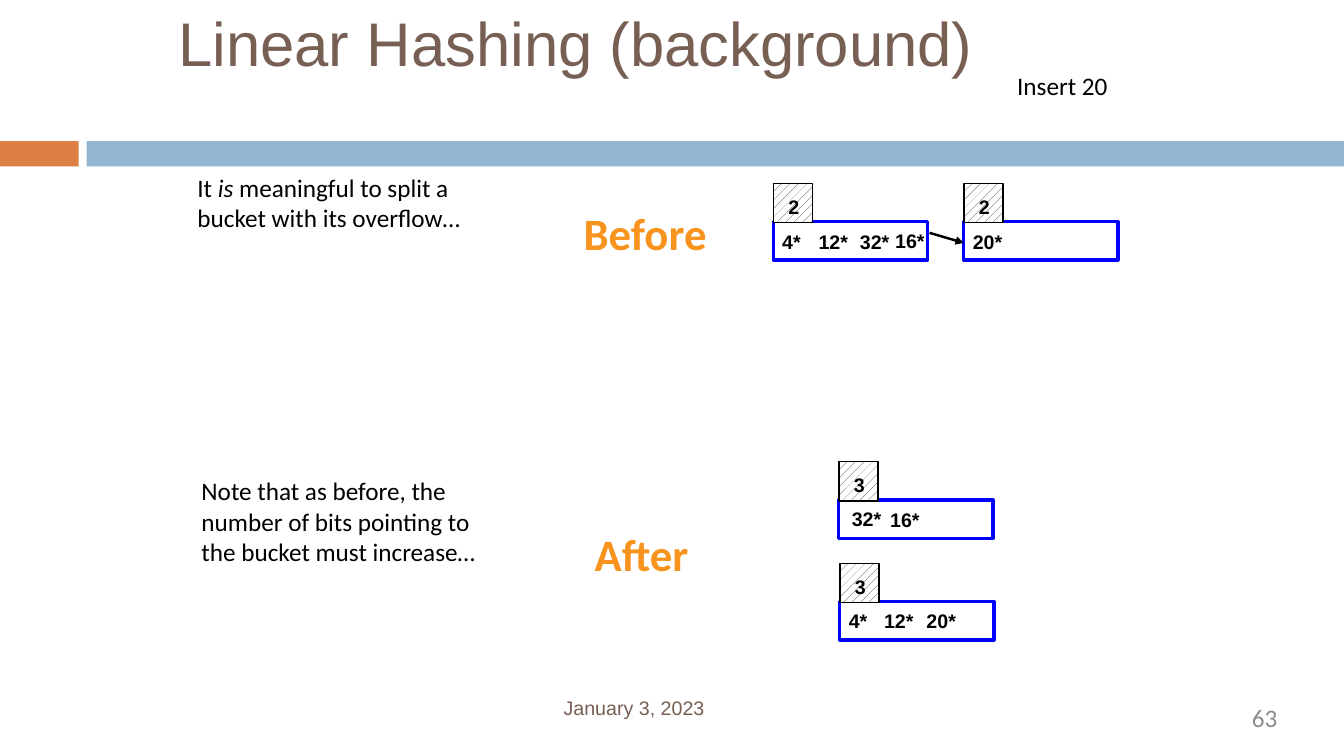
from dataclasses import dataclass

from lxml import etree
from pptx import Presentation
from pptx.dml.color import RGBColor
from pptx.enum.dml import MSO_PATTERN
from pptx.enum.shapes import MSO_CONNECTOR, MSO_SHAPE
from pptx.enum.text import MSO_AUTO_SIZE, PP_ALIGN
from pptx.oxml.ns import qn
from pptx.util import Inches, Pt

RECTANGLE = MSO_SHAPE.RECTANGLE
STRAIGHT = MSO_CONNECTOR.STRAIGHT
DOTTED = MSO_PATTERN.PERCENT_20
FIT_TEXT = MSO_AUTO_SIZE.SHAPE_TO_FIT_TEXT
LEFT, RIGHT = PP_ALIGN.LEFT, PP_ALIGN.RIGHT


@dataclass(frozen=True)
class Theme:
    heading: str = "775F54"
    accent: str = "DD8046"
    band: str = "93B6D2"
    stage: str = "F8931D"
    bucket: str = "0000FF"
    hatch: str = "39302A"
    paper: str = "FFFFFF"
    ink: str = "000000"
    muted: str = "8C8C8C"
    display_font: str = "Arial"
    body_font: str = "Calibri"
    title_size: int = 44
    stage_size: int = 32
    body_size: int = 18
    small_size: int = 14


THEME = Theme()
PAGE_W, PAGE_H = 13.33, 7.5
BUCKET_W, BUCKET_H, DEPTH_SIDE = 1.53, 0.38, 0.39


def rgb(value):
    return RGBColor.from_string(value)


def add_text(shapes, box, runs, size, color=THEME.ink, font=THEME.body_font,
             bold=False, wrap=True, align=LEFT, inset=True, spacing=None):
    """Add one paragraph; runs holds (text, italic) pairs or is a plain string."""
    s = shapes.add_textbox(*map(Inches, box))
    tf = s.text_frame
    tf.word_wrap = wrap
    tf.auto_size = FIT_TEXT
    if not inset:
        tf.margin_left = tf.margin_right = tf.margin_top = tf.margin_bottom = 0
    p = tf.paragraphs[0]
    p.alignment = align
    if spacing:
        p.line_spacing = Pt(spacing)
    p.font.size, p.font.bold, p.font.name = Pt(size), bold, font
    p.font.color.rgb = rgb(color)
    for text, italic in [(runs, False)] if isinstance(runs, str) else runs:
        r = p.add_run()
        r.text = text
        if italic:
            r.font.italic = True


def add_box(shapes, box, fill=None, line=None, width=1, hatched=False):
    s = shapes.add_shape(RECTANGLE, *map(Inches, box))
    s.shadow.inherit = False
    if hatched:
        s.fill.patterned()
        s.fill.pattern = DOTTED
        s.fill.fore_color.rgb = rgb(THEME.hatch)
        s.fill.back_color.rgb = rgb(THEME.paper)
    elif fill:
        s.fill.solid()
        s.fill.fore_color.rgb = rgb(fill)
    else:
        s.fill.background()
    if line:
        s.line.color.rgb = rgb(line)
        s.line.width = Pt(width)
    else:
        s.line.fill.background()


def add_label(shapes, x, y, text):
    width = 0.21 + 0.1 * len(text) - (0.02 if "*" in text else 0)
    add_text(shapes, (x, y, width, 0.33), text, THEME.small_size,
             font=THEME.display_font, bold=True, wrap=False)


def add_bucket(shapes, x, y, depth, entries):
    """Draw a bucket with its local depth; entries are (text, dx, dy)."""
    add_box(shapes, (x, y, BUCKET_W, BUCKET_H), line=THEME.bucket, width=2.25)
    add_box(shapes, (x, y - 0.38, DEPTH_SIDE, DEPTH_SIDE), line=THEME.ink, hatched=True)
    add_label(shapes, x + 0.05, y - 0.32, depth)
    for text, dx, dy in entries:
        add_label(shapes, x + dx, y + dy, text)


def add_arrow(shapes, start, end):
    s = shapes.add_connector(STRAIGHT, *map(Inches, start + end))
    s.line.color.rgb = rgb(THEME.ink)
    s.line.width = Pt(1.75)
    etree.SubElement(s.line._get_or_add_ln(), qn("a:tailEnd"), type="triangle")
    etree.SubElement(s._element.spPr, qn("a:effectLst"))


def main():
    prs = Presentation()
    prs.slide_width, prs.slide_height = Inches(PAGE_W), Inches(PAGE_H)
    shapes = prs.slides.add_slide(prs.slide_layouts[6]).shapes

    # Header band, footer and title
    add_box(shapes, (0, 1.4, 0.78, 0.25), fill=THEME.accent)
    add_box(shapes, (0.86, 1.4, PAGE_W - 0.86, 0.25), fill=THEME.band)
    add_text(shapes, (5.59, 6.92, 3.1, 0.22), "January 3, 2023", THEME.small_size,
             THEME.heading, THEME.display_font, inset=False, spacing=15.8)
    add_text(shapes, (9.6, 6.97, 3.07, 0.3), "63", THEME.body_size,
             THEME.muted, align=RIGHT, inset=False)
    add_text(shapes, (1.67, 0, 8.5, 0.84), "Linear Hashing (background)",
             THEME.title_size, THEME.heading, THEME.display_font)

    # Buckets after the split
    add_bucket(shapes, 8.33, 5.97, "3",
               [("4*", -0.01, 0.02), ("12*", 0.34, 0.02), ("20*", 0.76, 0.02)])
    add_bucket(shapes, 8.32, 4.96, "3", [("32*", 0.03, 0.02), ("16*", 0.41, 0.03)])

    # Full bucket and its overflow before the split
    full_bucket = shapes.add_group_shape()
    add_bucket(full_bucket.shapes, 7.67, 2.2, "2",
               [("4*", -0.01, 0.03), ("12*", 0.35, 0.03),
                ("32*", 0.76, 0.03), ("16*", 1.11, 0.02)])
    add_bucket(shapes, 9.56, 2.2, "2", [("20*", -0.01, 0.03)])
    add_arrow(shapes, (9.22, 2.31), (9.56, 2.41))

    # Remarks and stage names
    add_text(shapes, (1.86, 1.66, 2.98, 0.71),
             [("It ", False), ("is", True),
              (" meaningful to split a bucket with its overflow…", False)],
             THEME.body_size)
    add_text(shapes, (9.99, 0.65, 1.11, 0.4), "Insert 20", THEME.body_size, wrap=False)
    for box, stage in (((5.8, 5.18, 1.15, 0.64), "After"),
                       ((5.69, 1.99, 1.46, 0.63), "Before")):
        add_text(shapes, box, stage, THEME.stage_size, THEME.stage, bold=True, wrap=False)
    add_text(shapes, (1.9, 4.67, 2.98, 1.01),
             "Note that as before, the number of bits pointing to the bucket must increase…",
             THEME.body_size)

    prs.save("out.pptx")


main()
